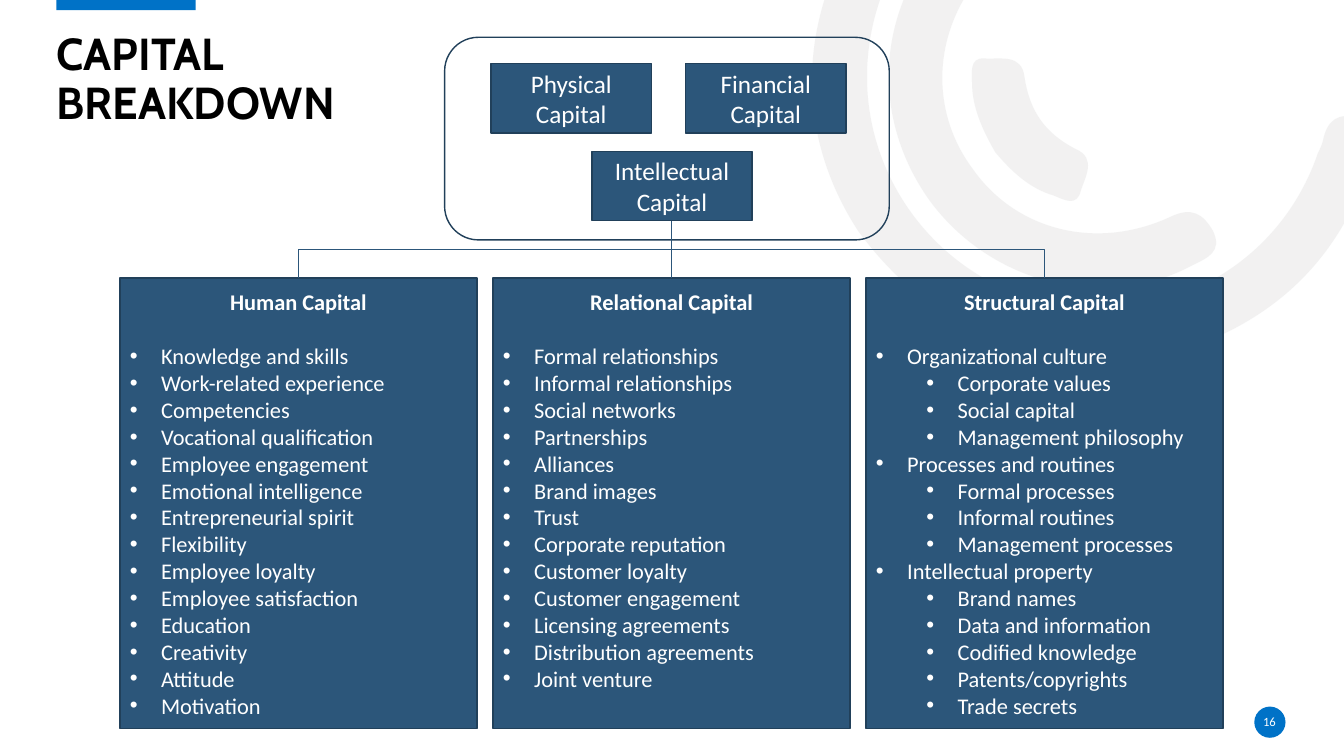
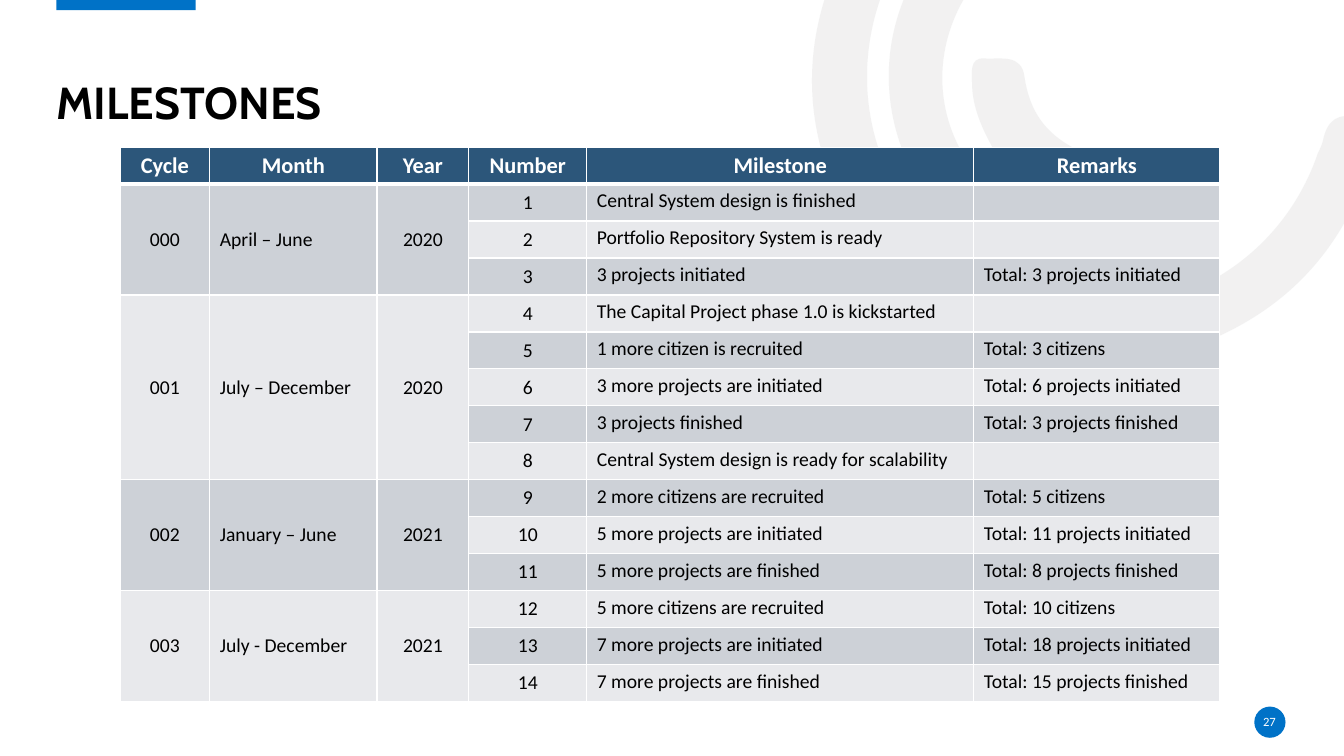
from math import cos, radians, sin

from pptx import Presentation
from pptx.dml.color import RGBColor
from pptx.enum.shapes import MSO_CONNECTOR as Connector, MSO_SHAPE as Shape
from pptx.enum.text import MSO_ANCHOR as Anchor, MSO_AUTO_SIZE as AutoSize, PP_ALIGN as Align
from pptx.oxml.ns import qn
from pptx.util import Inches, Pt
from lxml.etree import SubElement

COLORS = {
    "accent": "0072C7", "navy": "2C567A", "outline": "21405A",
    "white": "FFFFFF", "black": "000000", "arc": "E7E6E6",
    "band_dark": "CDD1D7", "band_light": "E8E9EC",
}
BODY_FONT, TITLE_FONT = "Calibri", "Cabin"

# Background arcs: box before turning, start point, Bezier segments (two controls, end)
ARC_ROTATION = 144.2
ARCS = [
    ((8.13, -2.02, 4.85, 6), (8.51, 2.29), [
        (7.99, 1.49, 7.87, 0.5, 8.38, -0.5), (8.9, -1.52, 9.76, -2.03, 10.9, -2.07),
        (11.05, -2.07, 11.21, -2.1, 11.31, -1.95), (11.44, -1.75, 11.27, -1.54, 10.98, -1.54),
        (9.67, -1.54, 8.65, -0.59, 8.6, 0.68), (8.56, 1.81, 9.36, 2.81, 10.46, 3.02),
        (11.6, 3.24, 12.7, 2.61, 13.07, 1.52), (13.09, 1.48, 13.11, 1.44, 13.12, 1.4),
        (13.16, 1.19, 13.27, 1.11, 13.49, 1.17), (13.73, 1.24, 13.67, 1.41, 13.61, 1.56),
        (13.34, 2.45, 12.78, 3.07, 11.91, 3.41), (10.7, 3.87, 9.36, 3.45, 8.51, 2.29)]),
    ((9.01, -0.78, 2.13, 4.26), (9.22, 1.99), [
        (8.62, 1.15, 8.69, 0.07, 9.4, -0.68), (9.51, -0.79, 9.62, -0.95, 9.8, -0.78),
        (9.95, -0.64, 9.97, -0.5, 9.79, -0.32), (9.25, 0.26, 9.2, 1.08, 9.65, 1.68),
        (10.08, 2.29, 10.88, 2.49, 11.61, 2.15), (11.82, 2.05, 11.93, 2.12, 12.03, 2.29),
        (12.13, 2.5, 11.97, 2.56, 11.83, 2.63), (10.96, 3.1, 9.83, 2.82, 9.22, 1.99)]),
    ((9.8, 0.37, 0.78, 1.83), (9.87, 1.51), [
        (9.75, 1.3, 9.64, 1.07, 9.64, 0.82), (9.64, 0.73, 9.61, 0.57, 9.76, 0.58),
        (9.92, 0.59, 10.13, 0.53, 10.16, 0.76), (10.21, 1.1, 10.36, 1.32, 10.67, 1.48),
        (10.88, 1.57, 10.76, 1.76, 10.72, 1.89), (10.68, 2.06, 10.55, 1.98, 10.45, 1.94),
        (10.21, 1.87, 10.03, 1.7, 9.87, 1.51)]),
]

# Capital breakdown: text with left and top, then columns of (level, item)
CAPITALS = [("Physical Capital", 4.87, 0.63), ("Financial Capital", 6.8, 0.63),
            ("Intellectual Capital", 5.87, 1.5)]
CAPITAL_COLUMNS = {
    "Human Capital": [(0, item) for item in (
        "Knowledge and skills", "Work-related experience", "Competencies",
        "Vocational qualification", "Employee engagement", "Emotional intelligence",
        "Entrepreneurial spirit", "Flexibility", "Employee loyalty",
        "Employee satisfaction", "Education", "Creativity", "Attitude", "Motivation")],
    "Relational Capital": [(0, item) for item in (
        "Formal relationships", "Informal relationships", "Social networks",
        "Partnerships", "Alliances", "Brand images", "Trust", "Corporate reputation",
        "Customer loyalty", "Customer engagement", "Licensing agreements",
        "Distribution agreements", "Joint venture")],
    "Structural Capital": [
        (0, "Organizational culture"), (1, "Corporate values"), (1, "Social capital"),
        (1, "Management philosophy"), (0, "Processes and routines"),
        (1, "Formal processes"), (1, "Informal routines"), (1, "Management processes"),
        (0, "Intellectual property"), (1, "Brand names"), (1, "Data and information"),
        (1, "Codified knowledge"), (1, "Patents/copyrights"), (1, "Trade secrets")],
}

# Milestones: cycle, month, year and the (milestone, remark) rows of each cycle
HEADERS = ["Cycle", "Month", "Year", "Number", "Milestone", "Remarks"]
COLUMN_WIDTHS = [0.89, 1.66, 0.91, 1.17, 3.84, 2.44]
CYCLES = [
    ("000", "April – June", "2020", [
        ("Central System design is finished", ""),
        ("Portfolio Repository System is ready", ""),
        ("3 projects initiated", "Total: 3 projects initiated")]),
    ("001", "July – December", "2020", [
        ("The Capital Project phase 1.0 is kickstarted", ""),
        ("1 more citizen is recruited", "Total: 3 citizens"),
        ("3 more projects are initiated", "Total: 6 projects initiated"),
        ("3 projects finished", "Total: 3 projects finished"),
        ("Central System design is ready for scalability", "")]),
    ("002", "January – June", "2021", [
        ("2 more citizens are recruited", "Total: 5 citizens"),
        ("5 more projects are initiated", "Total: 11 projects initiated"),
        ("5 more projects are finished", "Total: 8 projects finished")]),
    ("003", "July - December", "2021", [
        ("5 more citizens are recruited", "Total: 10 citizens"),
        ("7 more projects are initiated", "Total: 18 projects initiated"),
        ("7 more projects are finished", "Total: 15 projects finished")]),
]


# Shared helpers
def color(name):
    return RGBColor.from_string(COLORS[name])


def style(paragraph, size, color_name, bold=False, align=Align.LEFT, font_name=BODY_FONT):
    paragraph.alignment = align
    font = paragraph.font
    font.name, font.size, font.bold = font_name, Pt(size), bold
    font.color.rgb = color(color_name)


def paint(shape, fill=None, line=None):
    shape.shadow.inherit = False
    if fill:
        shape.fill.solid()
        shape.fill.fore_color.rgb = color(fill)
    else:
        shape.fill.background()
    if line:
        shape.line.color.rgb = color(line)
        shape.line.width = Pt(1)
    else:
        shape.line.fill.background()


def add_box(slide, kind, left, top, width, height, fill=None, line=None):
    shape = slide.shapes.add_shape(kind, Inches(left), Inches(top), Inches(width), Inches(height))
    paint(shape, fill, line)
    shape.text_frame.word_wrap = True
    return shape


def add_bullet(paragraph, level):
    properties = paragraph._p.get_or_add_pPr()
    properties.set("marL", str(Inches(0.31 + 0.5 * level)))
    properties.set("indent", str(Inches(-0.31)))
    SubElement(properties, qn("a:buFont")).set("typeface", "Arial")
    SubElement(properties, qn("a:buChar")).set("char", "•")


# Layout: arcs, top band, number badge and title position
def add_arc(slide, box, start, segments):
    left, top, width, height = box
    turn = radians(-ARC_ROTATION)

    def to_box(x, y):
        dx, dy = x - left - width / 2, y - top - height / 2
        return (Inches(dx * cos(turn) - dy * sin(turn) + width / 2),
                Inches(dx * sin(turn) + dy * cos(turn) + height / 2))

    builder = slide.shapes.build_freeform(*to_box(*start))
    builder.add_line_segments([to_box(*segment[4:]) for segment in segments], close=True)
    arc = builder.convert_to_shape()
    paint(arc, "arc")
    arc.left, arc.top, arc.width, arc.height = (Inches(length) for length in box)
    arc.rotation = ARC_ROTATION
    # Curves take the place of the straight segments
    outline = next(arc.element.spPr.iter(qn("a:path")))
    outline.clear()
    outline.set("w", str(Inches(width)))
    outline.set("h", str(Inches(height)))
    for tag, numbers in [("a:moveTo", start)] + [("a:cubicBezTo", item) for item in segments]:
        command = SubElement(outline, qn(tag))
        for x, y in zip(numbers[::2], numbers[1::2]):
            point = SubElement(command, qn("a:pt"))
            for axis, value in zip("xy", to_box(x, y)):
                point.set(axis, str(value))
    SubElement(outline, qn("a:close"))
    fill_color = next(arc.element.spPr.iter(qn("a:srgbClr")))
    SubElement(fill_color, qn("a:alpha")).set("val", "53000")
    return arc


def prepare_layout(layout, slide):
    decorations = [add_arc(slide, *arc) for arc in ARCS]
    decorations.append(add_box(slide, Shape.RECTANGLE, 0.56, -0.02, 1.38, 0.12, "accent"))
    decorations.append(add_box(slide, Shape.OVAL, 12.44, 7.01, 0.31, 0.31, "accent"))
    for index, shape in enumerate(decorations):
        shape.element.nvSpPr.cNvPr.set("id", str(100 + index))
        layout.shapes.element.insert(2 + index, shape.element)
    title = next(shape for shape in layout.placeholders if shape.placeholder_format.idx == 0)
    title.left, title.top = Inches(0.56), Inches(0.27)
    title.width, title.height = Inches(12.19), Inches(1.01)


def add_frame(slide, title, number):
    frame = slide.shapes.title.text_frame
    frame.text = title
    frame.vertical_anchor = Anchor.BOTTOM
    frame.auto_size = AutoSize.NONE
    frame.paragraphs[0].line_spacing = 0.9
    style(frame.paragraphs[0], 32, "black", True, font_name=TITLE_FONT)
    badge = slide.shapes.add_textbox(Inches(12.43), Inches(7.06), Inches(0.32), Inches(0.2))
    badge_frame = badge.text_frame
    badge_frame.text = number
    badge_frame.word_wrap = True
    badge_frame.vertical_anchor = Anchor.MIDDLE
    style(badge_frame.paragraphs[0], 9, "white", align=Align.CENTER)
    for text_frame in (frame, badge_frame):
        text_frame.margin_left = text_frame.margin_right = 0
        text_frame.margin_top = text_frame.margin_bottom = 0
    add_box(slide, Shape.RECTANGLE, 0.29, 6.7, 1.8, 0.71, "white", "white")


# Capital breakdown
def add_link(slide, x1, y1, x2, y2):
    straight = x1 == x2
    kind = Connector.STRAIGHT if straight else Connector.ELBOW
    if not straight:
        # The elbow is laid out sideways, then turned so that it leaves vertically
        center_x, center_y = (x1 + x2) / 2, (y1 + y2) / 2
        half_x, half_y = (x1 - x2) / 2, (y1 - y2) / 2
        x1, y1 = center_x + half_y, center_y - half_x
        x2, y2 = center_x - half_y, center_y + half_x
    link = slide.shapes.add_connector(kind, Inches(x1), Inches(y1), Inches(x2), Inches(y2))
    if not straight:
        link.rotation = 90
    link.line.color.rgb = color("navy")
    link.line.width = Pt(0.5)
    SubElement(link.element.spPr, qn("a:effectLst"))


def add_capital_column(slide, left, top, width, heading, items):
    box = add_box(slide, Shape.RECTANGLE, left, top, width, 4.47, "navy", "outline")
    frame = box.text_frame
    frame.vertical_anchor = Anchor.TOP
    frame.margin_top, frame.margin_bottom = Inches(0.1), 0
    frame.text = heading
    frame.paragraphs[0].space_after = Pt(19.5)
    style(frame.paragraphs[0], 16, "white", True, Align.CENTER)
    for level, item in items:
        paragraph = frame.add_paragraph()
        paragraph.text = item
        paragraph.level = level
        add_bullet(paragraph, level)
        style(paragraph, 16, "white")


def build_capital_slide(slide):
    add_frame(slide, "CAPITAL \vBREAKDOWN", "16")
    add_box(slide, Shape.ROUNDED_RECTANGLE, 4.41, 0.37, 4.41, 2.01, line="outline")
    for text, left, top in CAPITALS:
        box = add_box(slide, Shape.RECTANGLE, left, top, 1.59, 0.69, "navy", "outline")
        box.text_frame.text = text
        box.text_frame.vertical_anchor = Anchor.MIDDLE
        style(box.text_frame.paragraphs[0], 18, "white", align=Align.CENTER)
    first_left, column_top, width, step = 1.19, 2.76, 3.54, 3.7
    parent_x, parent_bottom = first_left + step + width / 2, 2.19
    for index, (heading, items) in enumerate(CAPITAL_COLUMNS.items()):
        left = first_left + index * step
        add_capital_column(slide, left, column_top, width, heading, items)
        add_link(slide, left + width / 2, column_top, parent_x, parent_bottom)


# Milestones
def fill_cell(cell, text, fill, size=14, color_name="black", bold=False,
              align=Align.LEFT, anchor=Anchor.TOP):
    cell.fill.solid()
    cell.fill.fore_color.rgb = color(fill)
    cell.vertical_anchor = anchor
    if text:
        cell.text = text
    style(cell.text_frame.paragraphs[0], size, color_name, bold, align)


def add_rule(cell, side):
    properties = cell._tc.get_or_add_tcPr()
    rule = SubElement(properties, qn(side))
    rule.set("w", str(Pt(3)))
    SubElement(SubElement(rule, qn("a:solidFill")), qn("a:srgbClr")).set("val", COLORS["white"])
    properties.insert(0, rule)


def build_milestone_slide(slide):
    add_frame(slide, "MILESTONES", "27")
    row_count = 1 + sum(len(rows) for *_, rows in CYCLES)
    table = slide.shapes.add_table(row_count, len(HEADERS), Inches(1.19), Inches(1.46),
                                   Inches(sum(COLUMN_WIDTHS)), Inches(5.5)).table
    for column, width in zip(table.columns, COLUMN_WIDTHS):
        column.width = Inches(width)
    for column, header in enumerate(HEADERS):
        fill_cell(table.cell(0, column), header, "navy", 16, "white", True, Align.CENTER)
        add_rule(table.cell(0, column), "a:lnB")
    bands = ["band_light", "band_dark"]
    number = 0
    for *labels, rows in CYCLES:
        first = number + 1
        for column, label in enumerate(labels):
            cell = table.cell(first, column)
            cell.merge(table.cell(number + len(rows), column))
            fill_cell(cell, label, bands[first % 2], anchor=Anchor.MIDDLE,
                      align=Align.LEFT if column == 1 else Align.CENTER)
        for milestone, remark in rows:
            number += 1
            band = bands[number % 2]
            fill_cell(table.cell(number, 3), str(number), band,
                      align=Align.CENTER, anchor=Anchor.MIDDLE)
            fill_cell(table.cell(number, 4), milestone, band)
            fill_cell(table.cell(number, 5), remark, band)


def main():
    presentation = Presentation()
    presentation.slide_width, presentation.slide_height = Inches(13.33), Inches(7.5)
    layout = presentation.slide_layouts.get_by_name("Title Only")
    capital_slide, milestone_slide = (presentation.slides.add_slide(layout) for _ in range(2))
    prepare_layout(layout, capital_slide)
    build_capital_slide(capital_slide)
    build_milestone_slide(milestone_slide)
    presentation.save("out.pptx")


if __name__ == "__main__":
    main()
